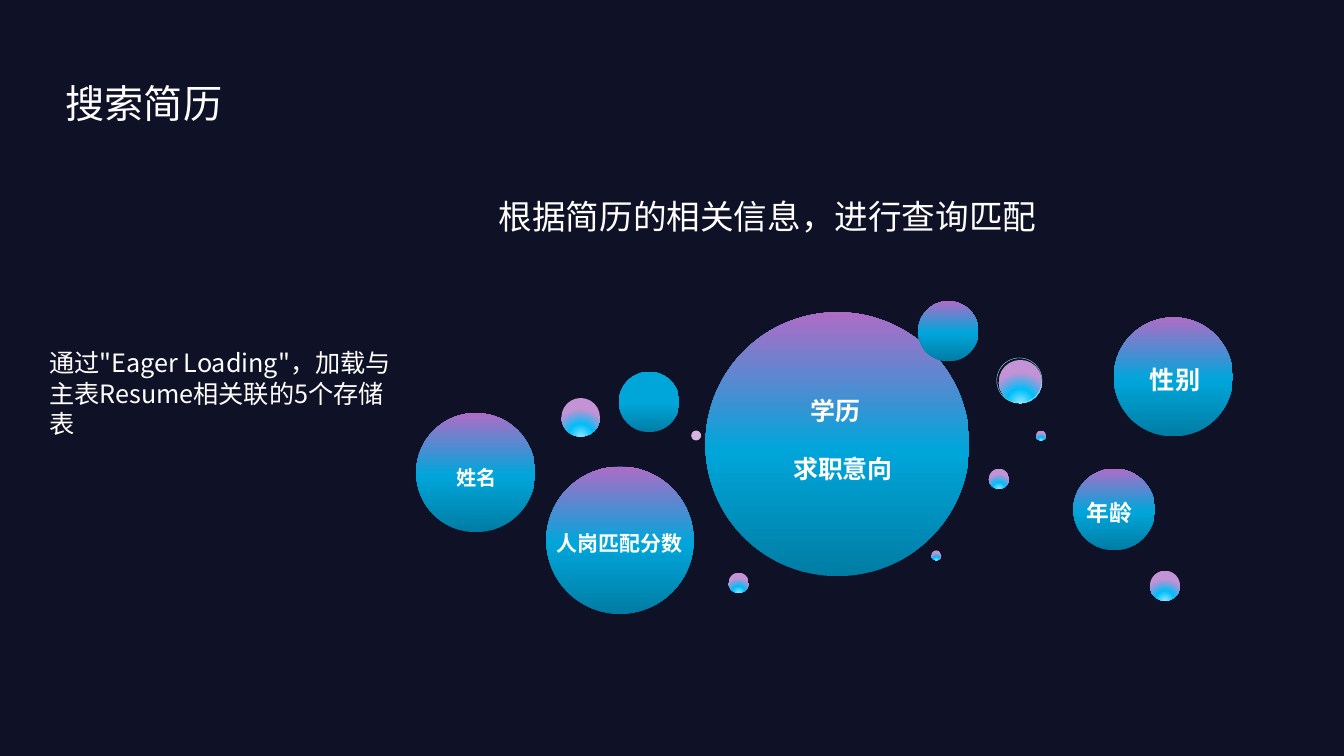
from pptx import Presentation
from pptx.dml.color import RGBColor
from pptx.enum.shapes import MSO_SHAPE
from pptx.enum.text import MSO_ANCHOR, MSO_AUTO_SIZE, PP_ALIGN
from pptx.oxml import parse_xml
from pptx.oxml.ns import nsdecls, qn
from pptx.util import Cm, Pt

FIELD_STOPS = [(0, "007DA4"), (48, "00A6DA"), (100, "AE6CC6")]
PLAIN_STOPS = [(0, "007DA4"), (48, "00A6DA"), (100, "00A6DA")]
BEAD_STOPS = [(5, "81E1FF"), (46, "00C0FA"), (100, "C493D5")]
UPWARD = '<a:lin ang="16200000" scaled="0"/>'
FROM_BELOW = ('<a:path path="circle"><a:fillToRect l="50000" t="130000" '
              'r="50000" b="-30000"/></a:path>')
FIELD, PLAIN, BEAD = (FIELD_STOPS, UPWARD), (PLAIN_STOPS, UPWARD), (BEAD_STOPS, FROM_BELOW)

BUBBLES = [
    (13.77, 11.76, 3.71, "00C0FA"),
    (10.49, 10.41, 3.0, FIELD),
    (17.78, 7.87, 6.65, FIELD),
    (13.77, 11.76, 3.71, FIELD),
    (14.15, 10.03, 0.97, BEAD),
    (15.6, 9.37, 1.52, PLAIN),
    (23.14, 7.59, 1.52, FIELD),
    (28.98, 14.38, 0.76, BEAD),
    (27.05, 11.81, 2.06, FIELD),
    (24.92, 11.81, 0.51, BEAD),
    (25.17, 9.07, 1.09, BEAD),
    (28.07, 8.0, 3.0, FIELD),
    (18.36, 14.43, 0.51, BEAD),
    (23.47, 13.87, 0.25, BEAD),
    (17.42, 10.85, 0.25, "D6B4E2"),
    (26.11, 10.85, 0.25, BEAD),
]

FIELD_NAMES = [
    ("学历", (20.17, 9.75, 1.88, 1.09), 17.8, 1.1),
    ("人岗匹配分数", (13.77, 13.06, 4.42, 1.07), 15, 1.2),
    ("性别", (28.73, 8.99, 2.62, 1.09), 18, 1.1),
    ("求职意向", (19.74, 11.23, 3.35, 1.09), 17.8, 1.1),
    ("年龄", (27.13, 12.29, 2.62, 1.09), 16.2, 1.2),
    ("姓名", (11.25, 11.38, 1.63, 1.09), 14.4, 1.2),
]


def color(value):
    return RGBColor.from_string(value)


def apply(target, values):
    for key, value in values.items():
        setattr(target, key, value)


class BubbleSlide:
    """Hold the text style and the current slide, and draw its elements."""

    font, east_asian, ink = "Noto Sans", "Noto Sans CJK SC", "FFFFFF"

    def __init__(self, slide, background):
        self.slide = slide
        slide.background.fill.solid()
        slide.background.fill.fore_color.rgb = color(background)

    def circle(self, left, top, size):
        circle = self.slide.shapes.add_shape(
            MSO_SHAPE.OVAL, Cm(left), Cm(top), Cm(size), Cm(size))
        circle.shadow.inherit = False
        return circle

    def bubble(self, left, top, size, paint):
        bubble = self.circle(left, top, size)
        bubble.line.fill.background()
        if isinstance(paint, str):
            bubble.fill.solid()
            bubble.fill.fore_color.rgb = color(paint)
        else:
            self.gradient(bubble, *paint)

    def gradient(self, bubble, stops, direction):
        bubble.fill.gradient()
        properties = bubble._element.spPr
        marks = "".join(
            f'<a:gs pos="{place * 1000}"><a:srgbClr val="{tint}"/></a:gs>'
            for place, tint in stops)
        properties.replace(properties.find(qn("a:gradFill")), parse_xml(
            f'<a:gradFill {nsdecls("a")} rotWithShape="1">'
            f'<a:gsLst>{marks}</a:gsLst>{direction}</a:gradFill>'))

    def ring(self, left, top, size, tint, width):
        ring = self.circle(left, top, size)
        ring.fill.background()
        ring.line.color.rgb = color(tint)
        ring.line.width = Pt(width)

    def fill_text(self, holder, wording, size, frame, paragraph, font):
        apply(holder.text_frame, frame)
        line = holder.text_frame.paragraphs[0]
        apply(line, {"alignment": PP_ALIGN.LEFT, **paragraph})
        run = line.add_run()
        run.text = wording
        apply(run.font, {"name": self.font, "size": Pt(size), "bold": False, **font})
        run.font.color.rgb = color(self.ink)
        run._r.rPr.find(qn("a:latin")).addnext(parse_xml(
            f'<a:ea {nsdecls("a")} typeface="{self.east_asian}"/>'))

    def title(self, wording, box, size):
        title = self.slide.shapes.title
        apply(title, dict(zip(("left", "top", "width", "height"), map(Cm, box))))
        self.fill_text(title, wording, size, {
            "vertical_anchor": MSO_ANCHOR.TOP, "word_wrap": False,
            "auto_size": MSO_AUTO_SIZE.SHAPE_TO_FIT_TEXT}, {}, {})

    def text(self, wording, box, size, wrap=True, font=None):
        holder = self.slide.shapes.add_textbox(*map(Cm, box))
        self.fill_text(holder, wording, size, {
            "word_wrap": wrap, "auto_size": MSO_AUTO_SIZE.SHAPE_TO_FIT_TEXT}, {}, font or {})

    def field_name(self, wording, box, size, spacing):
        holder = self.slide.shapes.add_textbox(*map(Cm, box))
        self.fill_text(holder, wording, size,
                       {"word_wrap": True, "vertical_anchor": MSO_ANCHOR.BOTTOM},
                       {"line_spacing": spacing, "space_after": Pt(6)}, {"bold": True})


def main():
    deck = Presentation()
    apply(deck, {"slide_width": Cm(33.87), "slide_height": Cm(19.05)})
    search = BubbleSlide(deck.slides.add_slide(deck.slide_layouts[5]), "0F1227")
    for bubble in BUBBLES:
        search.bubble(*bubble)
    search.ring(25.12, 9.02, 1.14, "90FFF8", 0.25)
    for field in FIELD_NAMES:
        search.field_name(*field)
    search.title("搜索简历", (1.4, 1.88, 4.47, 1.45), 28)
    search.text("根据简历的相关信息，进行查询匹配", (12.32, 4.8, 14.05, 1.27), 24, wrap=False)
    search.text('通过"Eager Loading"，加载与主表Resume相关联的5个存储表',
                (0.99, 8.64, 9.5, 1.8), 18, font={"name": search.east_asian})
    deck.save("out.pptx")


if __name__ == "__main__":
    main()
